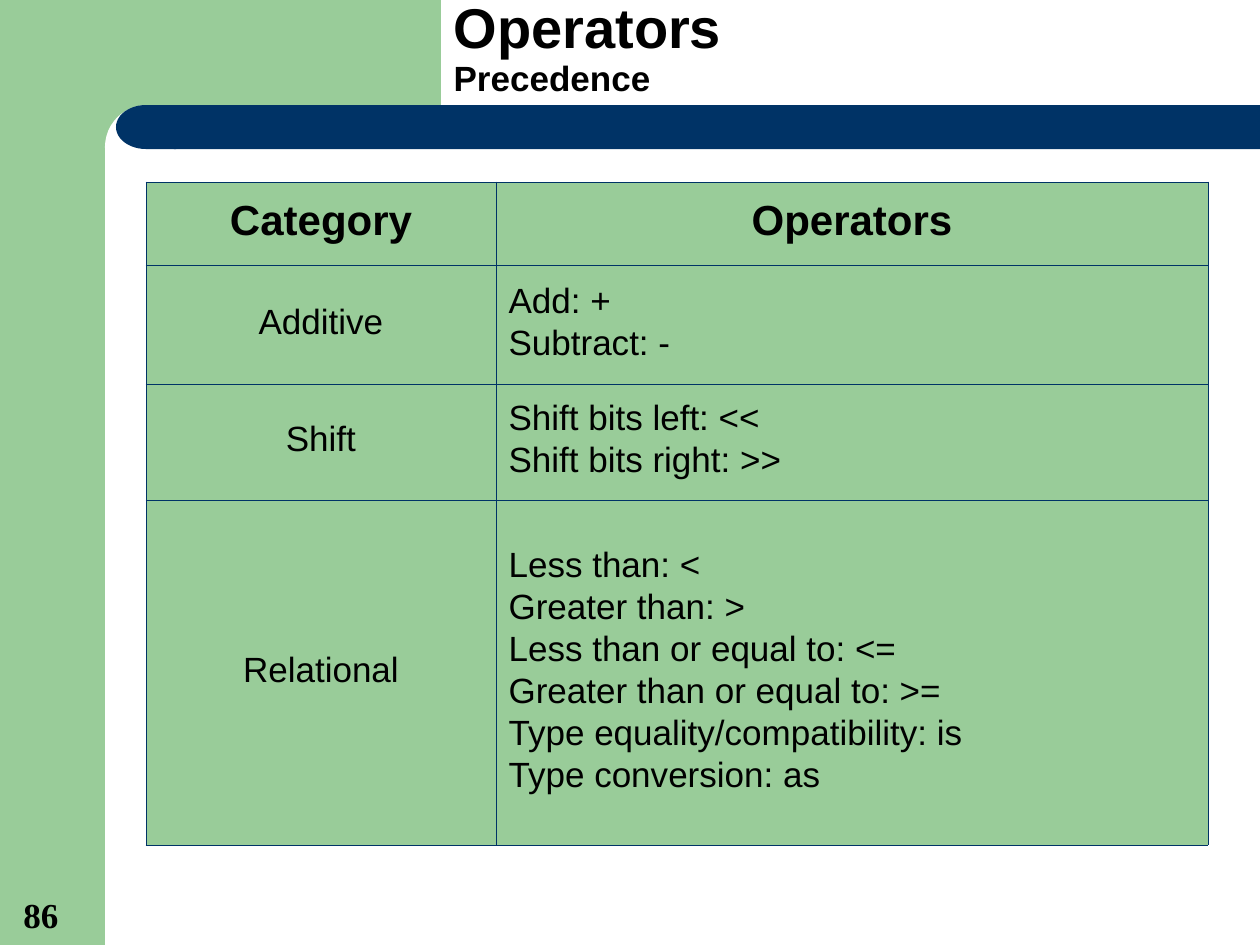
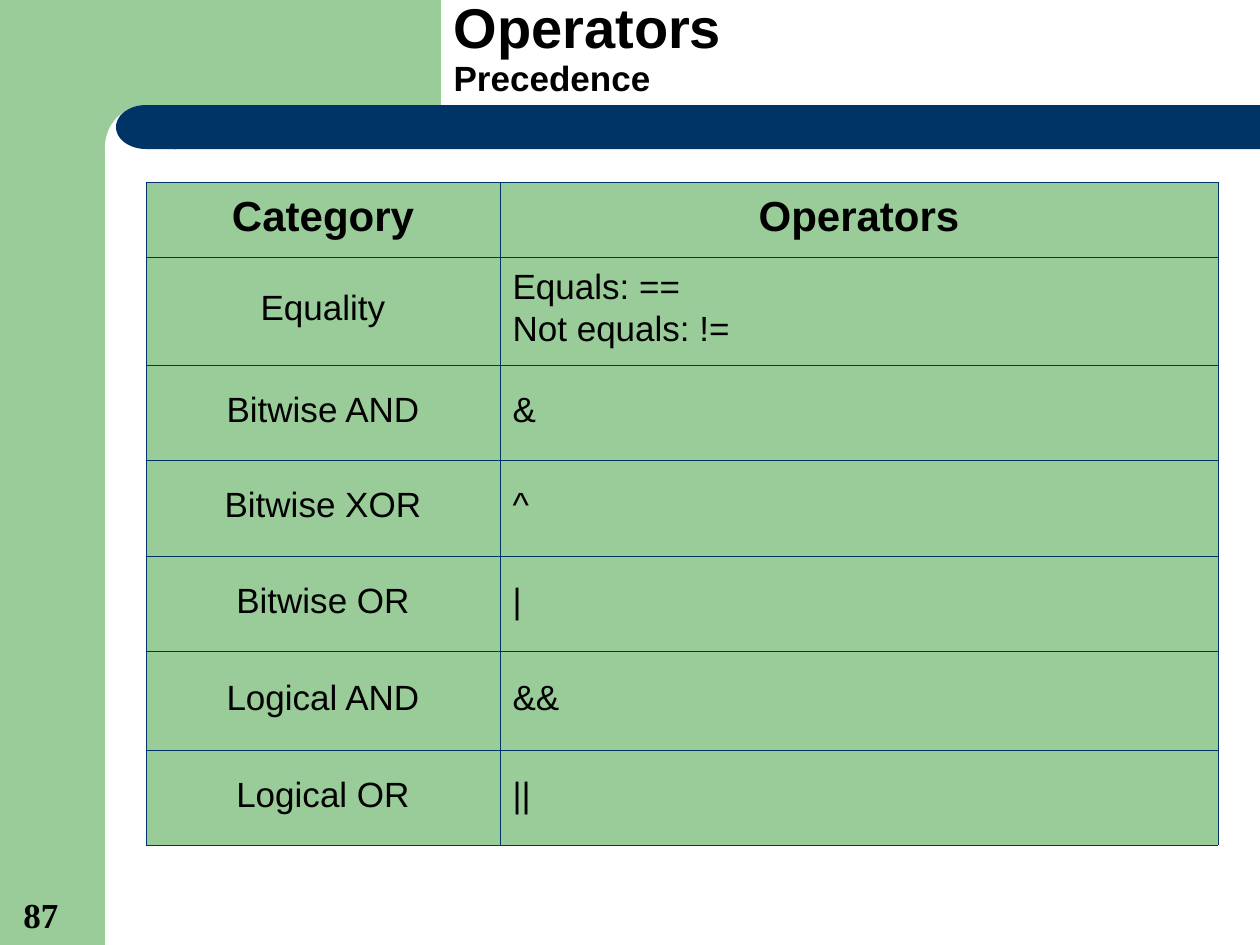
import dataclasses

import pptx
import pptx.dml.color
import pptx.enum.shapes
import pptx.enum.text
import pptx.util
from lxml import etree
from pptx.oxml.ns import qn

Align = pptx.enum.text.PP_ALIGN
Anchor = pptx.enum.text.MSO_ANCHOR
Shape = pptx.enum.shapes.MSO_SHAPE


@dataclasses.dataclass(frozen=True)
class Theme:
    green: str = "99CC99"
    navy: str = "003366"
    white: str = "FFFFFF"
    ink: str = "000000"
    font: str = "Arial"
    number_font: str = "Times New Roman"
    title_size: int = 32
    header_size: int = 24
    body_size: int = 20
    border: float = 0.45


THEME = Theme()

TITLE = [("Operators", THEME.title_size), ("Precedence", THEME.body_size)]
HEADER = ("Category", "Operators")
SLIDES = [
    {
        "number": 86,
        "columns": (350, 712),
        "header_height": 83,
        "rows": [
            ("Additive", ["Add: +", "Subtract: -"], 119),
            ("Shift", ["Shift bits left: <<", "Shift bits right: >>"], 116),
            ("Relational", [
                "Less than: <",
                "Greater than: >",
                "Less than or equal to: <=",
                "Greater than or equal to: >=",
                "Type equality/compatibility: is",
                "Type conversion: as",
            ], 345),
        ],
    },
    {
        "number": 87,
        "columns": (354, 718),
        "header_height": 75,
        "rows": [
            ("Equality", ["Equals: ==", "Not equals: !="], 108),
            ("Bitwise AND", ["&"], 95),
            ("Bitwise XOR", ["^"], 96),
            ("Bitwise OR", ["|"], 95),
            ("Logical AND", ["&&"], 99),
            ("Logical OR", ["||"], 95),
        ],
    },
]

# Shape, box in px, colour, corner radius, rotation
BACKDROP = [
    (Shape.RECTANGLE, (0, 0, 105, 945), THEME.green, None, 0),
    (Shape.RECTANGLE, (94, 0, 347, 147), THEME.green, None, 0),
    (Shape.ROUNDED_RECTANGLE, (105, 105, 703, 84), THEME.white, 0.5, 0),
    (Shape.ROUNDED_RECTANGLE, (174, 105, 1086, 44), THEME.navy, 0, 0),
    (Shape.FLOWCHART_DELAY, (116, 105, 60, 44), THEME.navy, None, 180),
]
TITLE_BOX = (441, 21, 798, 84)
NUMBER_BOX = (11, 887, 103, 55)
TABLE_CORNER = (146, 182)


def px(length):
    return pptx.util.Emu(round(length * 914400 / 126))


def rgb(colour):
    return pptx.dml.color.RGBColor.from_string(colour)


def write(paragraph, text, size=THEME.body_size, bold=False, font=THEME.font,
          align=Align.LEFT, line_spacing=1.0, before=0):
    paragraph.alignment = align
    paragraph.line_spacing = line_spacing
    paragraph.space_before = pptx.util.Pt(before)
    run = paragraph.add_run()
    run.text = text
    run.font.size = pptx.util.Pt(size)
    run.font.bold = bold
    run.font.name = font
    run.font.color.rgb = rgb(THEME.ink)


def draw_backdrop(slide):
    for kind, box, colour, radius, rotation in BACKDROP:
        part = slide.shapes.add_shape(kind, *map(px, box))
        part.shadow.inherit = False
        part.fill.solid()
        part.fill.fore_color.rgb = rgb(colour)
        part.line.fill.background()
        part.rotation = rotation
        if radius is not None:
            part.adjustments[0] = radius


def place_title(slide):
    title = slide.shapes.title
    title.left, title.top, title.width, title.height = map(px, TITLE_BOX)
    frame = title.text_frame
    frame.word_wrap = True
    frame.auto_size = pptx.enum.text.MSO_AUTO_SIZE.NONE
    frame.vertical_anchor = Anchor.BOTTOM
    paragraph = frame.paragraphs[0]
    for index, (text, size) in enumerate(TITLE):
        if index:
            paragraph.add_line_break()
        write(paragraph, text, size=size, bold=True, line_spacing=0.9)


def add_borders(cell):
    properties = cell._tc.get_or_add_tcPr()
    for side in ("a:lnL", "a:lnR", "a:lnT", "a:lnB"):
        line = etree.SubElement(properties, qn(side), w=str(pptx.util.Pt(THEME.border)))
        fill = etree.SubElement(line, qn("a:solidFill"))
        etree.SubElement(fill, qn("a:srgbClr"), val=THEME.navy)


def fill_cell(cell, lines, before=5, **style):
    add_borders(cell)
    cell.fill.solid()
    cell.fill.fore_color.rgb = rgb(THEME.green)
    cell.vertical_anchor = Anchor.MIDDLE
    frame = cell.text_frame
    for index, text in enumerate(lines):
        paragraph = frame.add_paragraph() if index else frame.paragraphs[0]
        write(paragraph, text, line_spacing=0.85, before=before if index else 0, **style)


def add_operator_table(slide, columns, header_height, rows):
    heights = [header_height] + [height for _, _, height in rows]
    box = (*TABLE_CORNER, sum(columns), sum(heights))
    table = slide.shapes.add_table(len(heights), len(columns), *map(px, box)).table
    table.first_row = table.horz_banding = False
    for column, width in zip(table.columns, columns):
        column.width = px(width)
    for row, height in zip(table.rows, heights):
        row.height = px(height)
    for index, heading in enumerate(HEADER):
        fill_cell(table.cell(0, index), [heading], size=THEME.header_size,
                  bold=True, align=Align.CENTER)
    for index, (category, operators, _) in enumerate(rows, start=1):
        fill_cell(table.cell(index, 0), [category], align=Align.CENTER)
        fill_cell(table.cell(index, 1), operators, align=Align.JUSTIFY)


def add_number(slide, number):
    frame = slide.shapes.add_textbox(*map(px, NUMBER_BOX)).text_frame
    frame.word_wrap = True
    frame.vertical_anchor = Anchor.BOTTOM
    write(frame.paragraphs[0], str(number), bold=True, font=THEME.number_font)


def main():
    deck = pptx.Presentation()
    deck.slide_width, deck.slide_height = px(1260), px(945)
    title_only = deck.slide_layouts.get_by_name("Title Only")
    for content in SLIDES:
        slide = deck.slides.add_slide(title_only)
        draw_backdrop(slide)
        place_title(slide)
        add_operator_table(slide, content["columns"], content["header_height"], content["rows"])
        add_number(slide, content["number"])
    deck.save("out.pptx")


if __name__ == "__main__":
    main()
